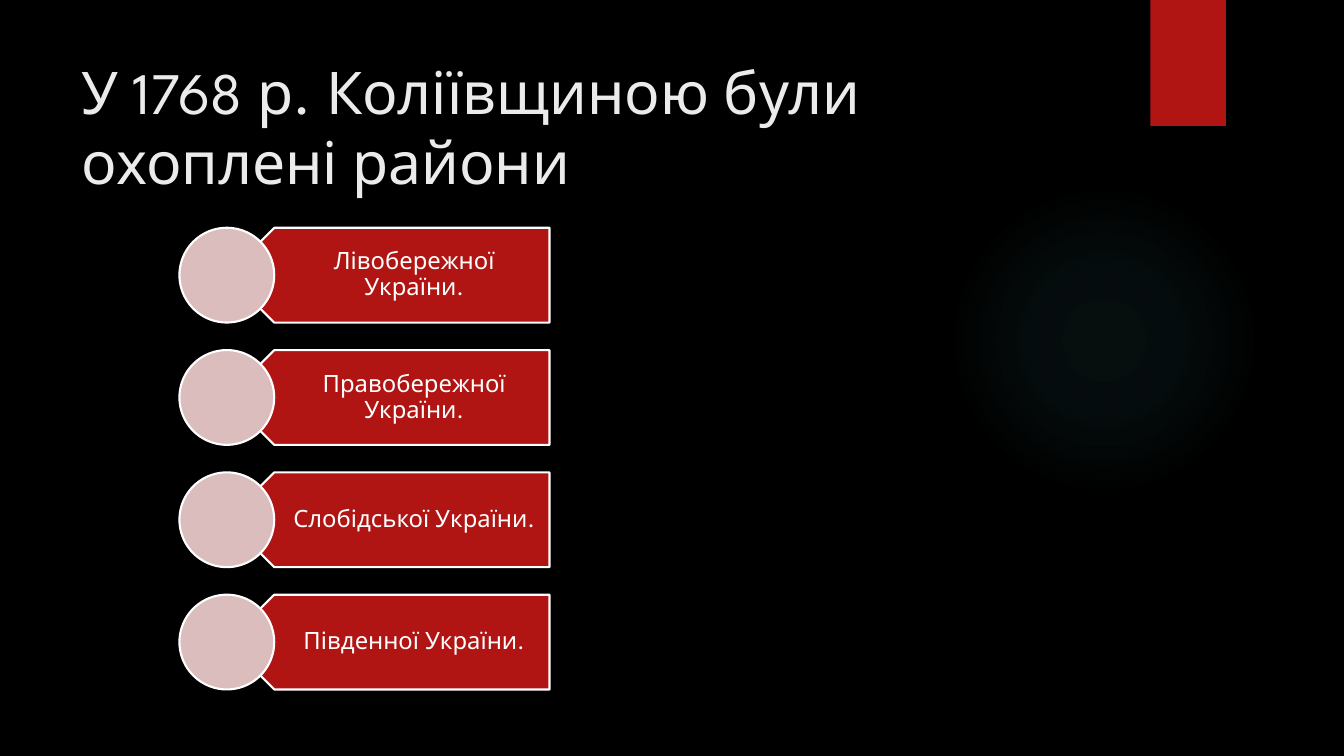
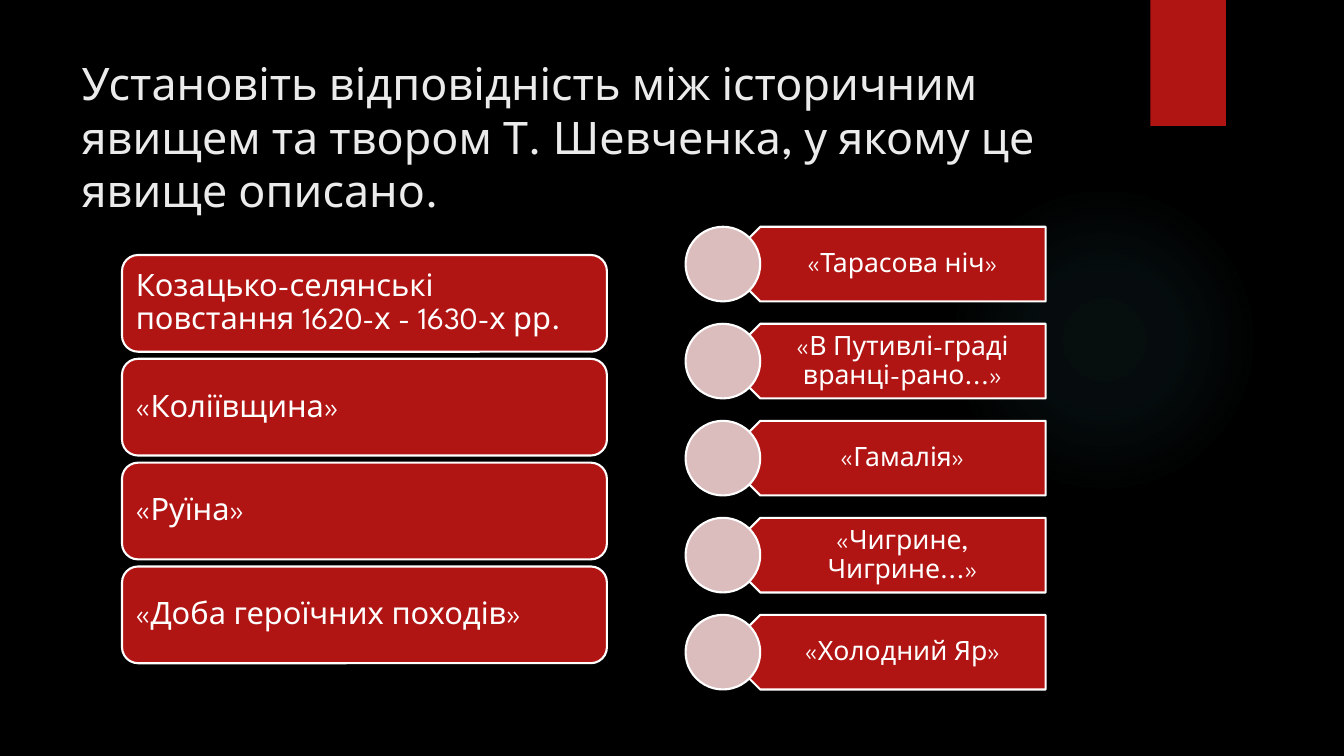
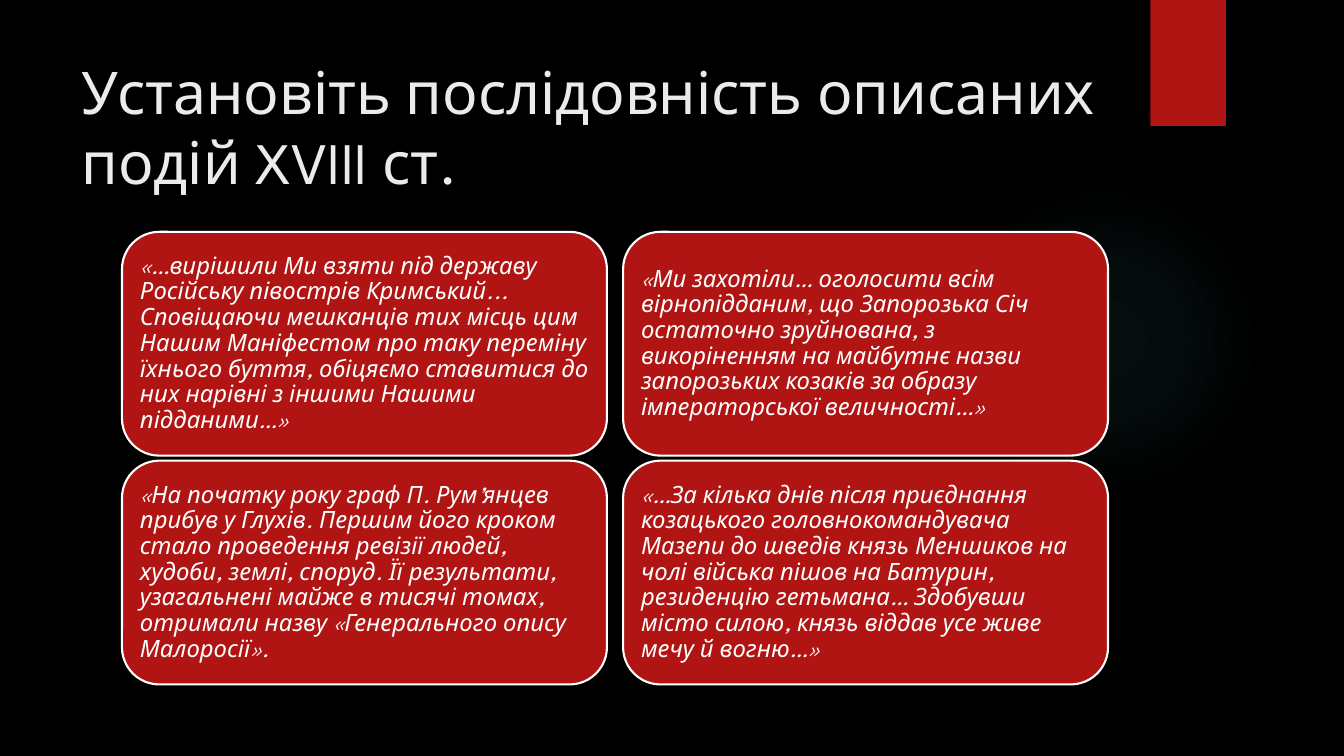
from lxml import etree
from pptx import Presentation
from pptx.dml.color import RGBColor
from pptx.enum.shapes import MSO_SHAPE
from pptx.enum.text import MSO_ANCHOR, MSO_AUTO_SIZE, PP_ALIGN
from pptx.util import Inches, Pt

BLACK = RGBColor(0x00, 0x00, 0x00)
WHITE = RGBColor(0xFF, 0xFF, 0xFF)
PALE = RGBColor(0xEB, 0xEB, 0xEB)
RED = RGBColor(0xB0, 0x15, 0x13)
PINK = RGBColor(0xDC, 0xBD, 0xBD)
FONT = "League Spartan"

RECT, OVAL = MSO_SHAPE.RECTANGLE, MSO_SHAPE.OVAL
ROUND, ARROW = MSO_SHAPE.ROUNDED_RECTANGLE, MSO_SHAPE.PENTAGON
LEFT, CENTER = PP_ALIGN.LEFT, PP_ALIGN.CENTER
TOP, MIDDLE = MSO_ANCHOR.TOP, MSO_ANCHOR.MIDDLE
FIXED = MSO_AUTO_SIZE.NONE

GLOW = """<a:gradFill xmlns:a="http://schemas.openxmlformats.org/drawingml/2006/main">
<a:gsLst>
<a:gs pos="0"><a:srgbClr val="50B9C1"><a:alpha val="7000"/></a:srgbClr></a:gs>
<a:gs pos="36000"><a:srgbClr val="50B9C1"><a:alpha val="6000"/></a:srgbClr></a:gs>
<a:gs pos="69000"><a:srgbClr val="50B9C1"><a:alpha val="0"/></a:srgbClr></a:gs>
</a:gsLst>
<a:path path="circle"><a:fillToRect l="50000" t="50000" r="50000" b="50000"/></a:path>
</a:gradFill>"""


def draw(slide, kind, box, fill, edge=True):
    shape = slide.shapes.add_shape(kind, *map(Inches, box))
    shape.shadow.inherit = False
    shape.fill.solid()
    shape.fill.fore_color.rgb = fill
    if edge:
        shape.line.color.rgb = WHITE
        shape.line.width = Pt(1.5)
    else:
        shape.line.fill.background()
    return shape


def write(frame, text, size, pads, align=LEFT, color=WHITE, space=0.9,
          anchor=MIDDLE, italic=False):
    left, top, right, low = map(Inches, pads)
    look = {"word_wrap": True, "auto_size": FIXED, "vertical_anchor": anchor,
            "margin_left": left, "margin_top": top,
            "margin_right": right, "margin_bottom": low}
    for name, value in look.items():
        setattr(frame, name, value)
    para = frame.paragraphs[0]
    para.alignment, para.line_spacing = align, space
    run = para.add_run()
    run.text = text
    style = {"name": FONT, "size": Pt(size), "italic": italic}
    for name, value in style.items():
        setattr(run.font, name, value)
    run.font.color.rgb = color


deck = Presentation()
deck.slide_width, deck.slide_height = Inches(13.33), Inches(7.5)
layout = deck.slide_layouts[5]

# Titles
TITLES = [
    ("У 1768 р. Коліївщиною були охоплені райони", 42),
    ("Установіть відповідність між історичним явищем та твором "
     "Т. Шевченка, у якому це явище описано.", 32),
    ("Установіть послідовність описаних подій XVIII ст.", 42),
]
slides = []
for text, size in TITLES:
    slide = deck.slides.add_slide(layout)
    title = slide.shapes.title
    title.left, title.top = Inches(0.71), Inches(0.5)
    title.width, title.height = Inches(10.29), Inches(1.53)
    write(title.text_frame, text, size, (0.1, 0.05, 0.1, 0.05),
          color=PALE, space=1.0, anchor=TOP)
    slides.append(slide)

# Shared backdrop, glow and band, kept on the layout
layout.background.fill.solid()
layout.background.fill.fore_color.rgb = BLACK
glow = draw(slides[0], OVAL, (9.41, 1.83, 3.08, 3.08), BLACK, edge=False)
props = glow.element.spPr
props.replace(props[2], etree.fromstring(GLOW))
band = draw(slides[0], RECT, (11.41, 0, 0.75, 1.25), RED, edge=False)
for spot, shape in enumerate((glow, band), 2):
    layout.shapes.element.insert(spot, shape.element)

# Arrow lists with discs: slide, left, top, disc size, font size, pads, items
LISTS = [
    (slides[0], 1.78, 2.26, 0.94, 17, (0.41, 0.07, 0.13, 0.07),
     ["Лівобережної України.", "Правобережної України.",
      "Слобідської України.", "Південної України."]),
    (slides[1], 6.8, 2.25, 0.74, 19, (0.33, 0.08, 0.15, 0.08),
     ["«Тарасова ніч»", "«В Путивлі-граді вранці-рано...»", "«Гамалія»",
      "«Чигрине, Чигрине...»", "«Холодний Яр»"]),
]
BASE, WIDE = 6.84, 3.2
for slide, left, top, disc, size, pads, items in LISTS:
    step = (BASE - top - disc) / (len(items) - 1)
    for row, text in enumerate(items):
        y = top + row * step
        x = left + disc / 2
        arrow = draw(slide, ARROW, (x, y, WIDE, disc), RED)
        arrow.rotation = 180
        box = (x + disc / 4, y, WIDE - disc / 4, disc)
        label = slide.shapes.add_textbox(*map(Inches, box))
        write(label.text_frame, text, size, pads, CENTER)
        draw(slide, OVAL, (left, y, disc, disc), PINK)

# Rounded cards: slide, top, height, row step, font size, pad, italic, columns
CARDS = [
    (slides[1], 2.53, 0.96, 1.03, 22, 0.09, False, [
        ["Козацько-селянські повстання 1620-х - 1630-х рр.",
         "«Коліївщина»", "«Руїна»", "«Доба героїчних походів»"]]),
    (slides[2], 2.3, 2.22, 2.27, 17, 0.07, True, [
        ["«…вирішили Ми взяти під державу Російську півострів Кримський... "
         "Сповіщаючи мешканців тих місць цим Нашим Маніфестом про таку "
         "переміну їхнього буття, обіцяємо ставитися до них нарівні з "
         "іншими Нашими підданими…»",
         "«На початку року граф П. Рум’янцев прибув у Глухів. Першим його "
         "кроком стало проведення ревізії людей, худоби, землі, споруд. Її "
         "результати, узагальнені майже в тисячі томах, отримали назву "
         "«Генерального опису Малоросії»."],
        ["«Ми захотіли… оголосити всім вірнопідданим, що Запорозька Січ "
         "остаточно зруйнована, з викоріненням на майбутнє назви "
         "запорозьких козаків за образу імператорської величності…»",
         "«…За кілька днів після приєднання козацького головнокомандувача "
         "Мазепи до шведів князь Меншиков на чолі війська пішов на Батурин, "
         "резиденцію гетьмана… Здобувши місто силою, князь віддав усе живе "
         "мечу й вогню…»"]]),
]
for slide, top, high, step, size, pad, slant, columns in CARDS:
    for col, items in enumerate(columns):
        for row, text in enumerate(items):
            box = (1.21 + col * 4.97, top + row * step, 4.81, high)
            card = draw(slide, ROUND, box, RED)
            write(card.text_frame, text, size, (pad,) * 4, italic=slant)

deck.save("out.pptx")
